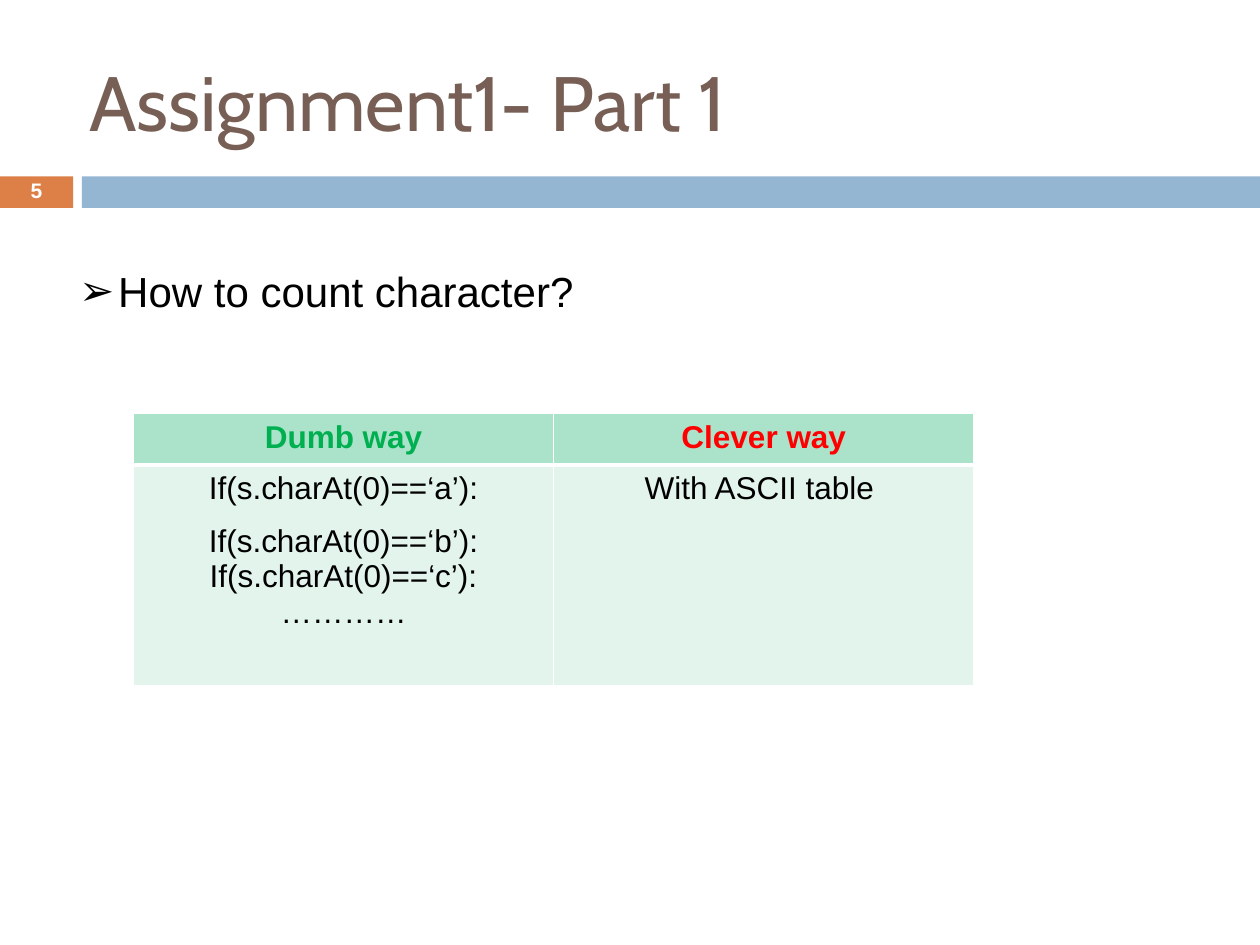
from dataclasses import dataclass

from lxml import etree
from pptx import Presentation
from pptx.dml.color import RGBColor
from pptx.enum import shapes, text
from pptx.oxml import ns
from pptx.util import Inches, Pt

WHITE = RGBColor(0xFF, 0xFF, 0xFF)
BLACK = RGBColor(0, 0, 0)
BROWN = RGBColor(0x77, 0x5F, 0x55)
ORANGE = RGBColor(0xDD, 0x80, 0x47)
BLUE = RGBColor(0x94, 0xB6, 0xD2)
GREEN = RGBColor(0, 0xB0, 0x50)
RED = RGBColor(0xFF, 0, 0)
HEADER_FILL = RGBColor(0xAA, 0xE2, 0xCA)
BODY_FILL = RGBColor(0xE2, 0xF4, 0xEC)

CENTER = text.PP_ALIGN.CENTER
MIDDLE = text.MSO_ANCHOR.MIDDLE


@dataclass
class Box:
    left: float
    top: float
    width: float
    height: float

    def lengths(self) -> list:
        return [Inches(v) for v in (self.left, self.top, self.width, self.height)]


@dataclass
class Column:
    heading: str
    color: RGBColor
    lines: list


BARS = [(Box(0, 1.4, 0.58, 0.25), ORANGE), (Box(0.65, 1.4, 9.35, 0.25), BLUE)]
COLUMNS = [
    Column("Dumb way", GREEN, ["If(s.charAt(0)==‘a’):", "If(s.charAt(0)==‘b’):",
                               "If(s.charAt(0)==‘c’):", "…………"]),
    Column("Clever way", RED, ["With ASCII table "]),
]
TABLE = Box(1.06, 3.28, 6.67, 2.16)
HEADER_HEIGHT = 0.41


def write(p, content: str, *, size=18, font="Arial", color=BLACK, bold=False,
          align=None, spacing=None):
    r = p.add_run()
    r.text = content
    r.font.size, r.font.name, r.font.bold = Pt(size), font, bold
    r.font.color.rgb = color
    p.alignment, p.line_spacing = align, spacing


def add_text(s, box: Box, content: str, *, anchor=text.MSO_ANCHOR.TOP, **style):
    tf = s.shapes.add_textbox(*box.lengths()).text_frame
    tf.word_wrap = True
    tf.vertical_anchor = anchor
    p = tf.paragraphs[0]
    write(p, content, **style)
    return p


def add_bar(s, box: Box, color: RGBColor):
    sp = s.shapes.add_shape(shapes.MSO_SHAPE.RECTANGLE, *box.lengths())
    sp.shadow.inherit = False
    sp.fill.solid()
    sp.fill.fore_color.rgb = color
    sp.line.fill.background()


def set_bullet(p, char: str, indent: float):
    pPr = p._p.get_or_add_pPr()
    pPr.set("marL", str(Inches(indent)))
    pPr.set("indent", str(-Inches(indent)))
    color = etree.SubElement(pPr, ns.qn("a:buClr"))
    etree.SubElement(color, ns.qn("a:srgbClr"), val=str(BLACK))
    etree.SubElement(pPr, ns.qn("a:buFont"), typeface="Arial")
    etree.SubElement(pPr, ns.qn("a:buChar"), char=char)


def style_cell(cell, fill: RGBColor, top: int, bottom: int):
    """Fill the cell and give it white borders; top and bottom are in points."""
    tcPr = cell._tc.get_or_add_tcPr()
    for side, width in zip("LRTB", (1, 1, top, bottom)):
        ln = etree.SubElement(tcPr, ns.qn(f"a:ln{side}"), w=str(Pt(width)))
        solid = etree.SubElement(ln, ns.qn("a:solidFill"))
        etree.SubElement(solid, ns.qn("a:srgbClr"), val=str(WHITE))
    cell.fill.solid()
    cell.fill.fore_color.rgb = fill


def add_comparison(s, box: Box, columns: list):
    table = s.shapes.add_table(2, len(columns), *box.lengths()).table
    table.rows[0].height = Inches(HEADER_HEIGHT)
    table.rows[1].height = Inches(box.height - HEADER_HEIGHT)
    for i, column in enumerate(columns):
        head, body = table.cell(0, i), table.cell(1, i)
        style_cell(head, HEADER_FILL, 1, 3)
        style_cell(body, BODY_FILL, 3, 1)
        write(head.text_frame.paragraphs[0], column.heading,
              color=column.color, bold=True, align=CENTER)
        tf = body.text_frame
        for n, line in enumerate(column.lines):
            p = tf.add_paragraph() if n else tf.paragraphs[0]
            write(p, line, align=CENTER, spacing=1.5 if n == 1 else None)


def main():
    prs = Presentation()
    prs.slide_width, prs.slide_height = Inches(10), Inches(7.5)
    s = prs.slides.add_slide(prs.slide_layouts[6])
    for box, color in BARS:
        add_bar(s, box, color)
    add_text(s, Box(0.61, 0.26, 8.98, 1.08), "Assignment1- Part 1",
             anchor=MIDDLE, size=44, font="Cabin", color=BROWN)
    add_text(s, Box(0, 1.39, 0.58, 0.27), "5", anchor=MIDDLE, size=12,
             color=WHITE, bold=True, align=CENTER, spacing=0.8)
    question = add_text(s, Box(0.53, 1.86, 9.09, 0.63), "How to count character?",
                        size=24, spacing=1.5)
    set_bullet(question, "➢", 0.31)
    add_comparison(s, TABLE, COLUMNS)
    prs.save("out.pptx")


if __name__ == "__main__":
    main()
